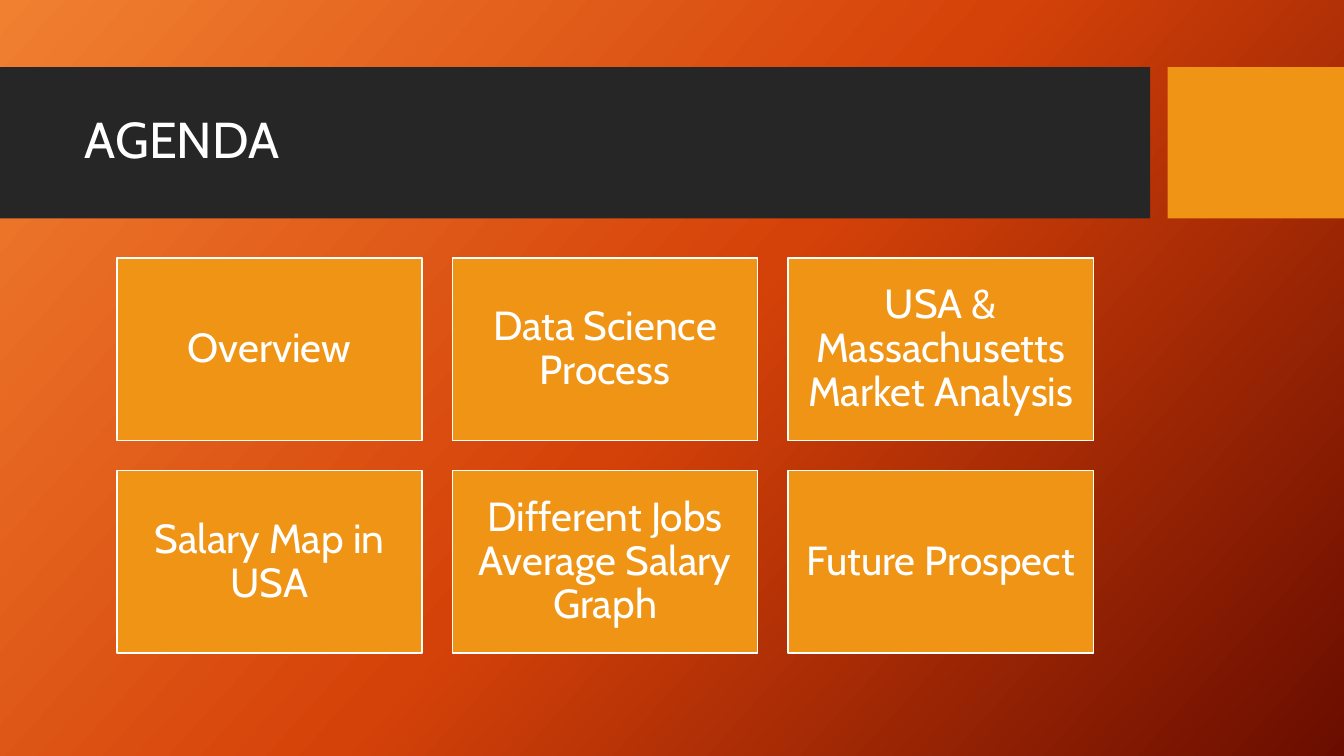
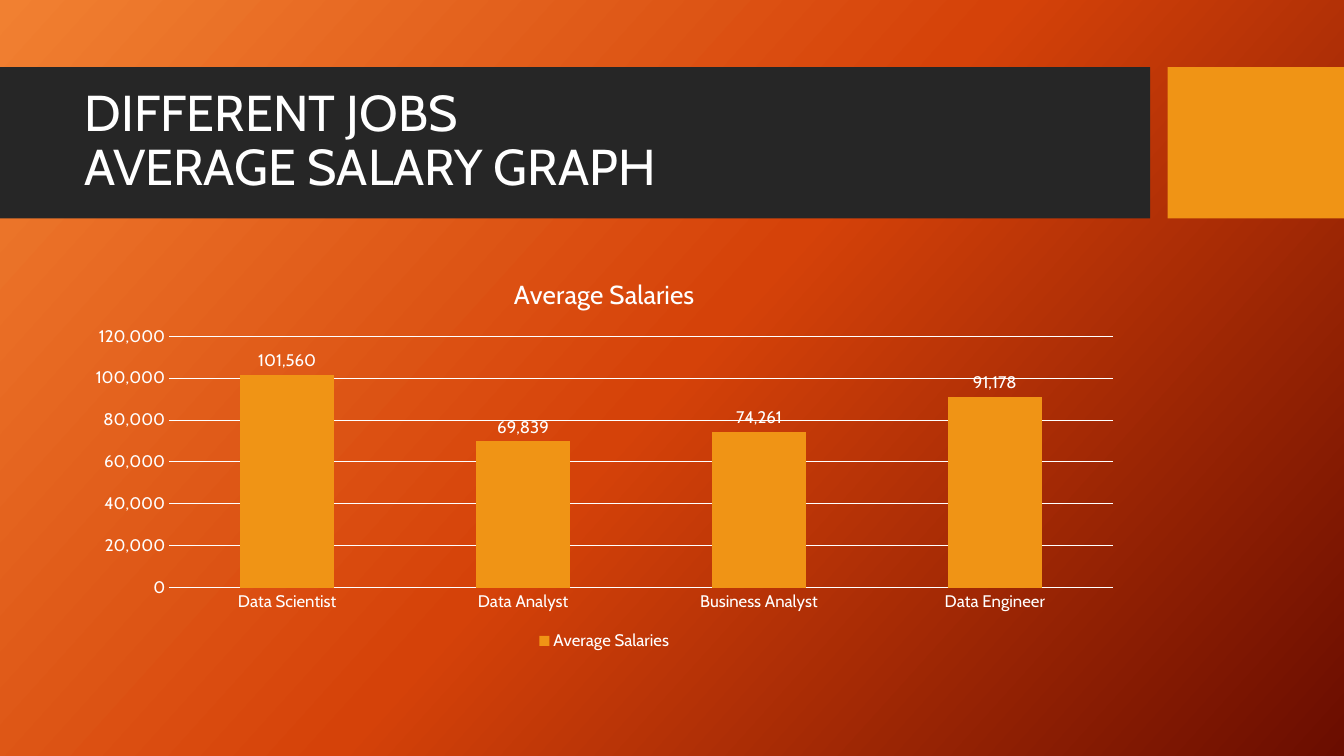
from copy import deepcopy

from pptx import Presentation
from pptx.chart.data import CategoryChartData
from pptx.dml.color import RGBColor
from pptx.enum.chart import XL_CHART_TYPE as CT, XL_LABEL_POSITION as LP
from pptx.enum.chart import XL_LEGEND_POSITION as LEG, XL_TICK_MARK as TICK
from pptx.enum.shapes import MSO_SHAPE as SHAPE
from pptx.enum.text import MSO_ANCHOR as ANCHOR, MSO_AUTO_SIZE as AUTO, PP_ALIGN as ALIGN
from pptx.oxml.ns import qn
from pptx.shapes.shapetree import GroupShapes
from pptx.util import Pt

FONT = "Cabin"
WHITE = RGBColor(0xFF, 0xFF, 0xFF)
DARK = RGBColor(0x26, 0x26, 0x26)
AMBER = RGBColor(0xF0, 0x94, 0x15)
ORANGE = RGBColor(0xF1, 0x80, 0x31)
RUST = RGBColor(0xD5, 0x42, 0x09)
MAROON = RGBColor(0x6A, 0x0D, 0x00)

TITLE_ONLY = 5
LEFT, TOP, WIDTH = 53.25, 184.25, 756.75


def set_font(font, size, color=WHITE):
    """Apply the deck typeface with a size and colour."""
    font.name, font.size, font.bold = FONT, Pt(size), False
    font.color.rgb = color


def write(tf, text, size=12, color=WHITE, align=ALIGN.LEFT, inset=None, spacing=0.9):
    """Fill a text frame with one formatted, vertically centred paragraph."""
    tf.word_wrap, tf.auto_size = True, AUTO.NONE
    tf.vertical_anchor = ANCHOR.MIDDLE
    if inset is not None:
        tf.margin_left = tf.margin_right = tf.margin_top = tf.margin_bottom = Pt(inset)
    p = tf.paragraphs[0]
    p.text, p.alignment, p.line_spacing = text, align, spacing
    for r in p.runs:
        set_font(r.font, size, color)
    for br in p._p.findall(qn("a:br")):
        br.insert(0, deepcopy(p.runs[0]._r.rPr))


class Deck:
    """Hold the shared style and the current slide."""

    def __init__(self):
        """Set up the slide size, gradient background and layout bands."""
        self.prs = Presentation()
        self.prs.slide_width, self.prs.slide_height = Pt(960), Pt(540)
        self.layout = self.prs.slide_layouts[TITLE_ONLY]
        self.s = None
        self.background(ORANGE, RUST, MAROON)
        shapes = GroupShapes(self.layout.shapes._spTree, self.layout)
        self.box(shapes, 0, 48, 821.5, 108, DARK)
        self.box(shapes, 834, 48, 126, 108, AMBER)

    def background(self, *colors):
        """Give the master an evenly spaced diagonal gradient."""
        master = self.prs.slide_master
        fill = master.background.fill
        fill.gradient()
        fill.gradient_angle = 360 - 42
        stops = next(master._element.iter(qn("a:gsLst")))
        stops.append(deepcopy(stops[-1]))
        for i, (stop, color) in enumerate(zip(fill.gradient_stops, colors)):
            stop.position = i / (len(colors) - 1)
            stop.color.rgb = color

    def box(self, shapes, x, y, w, h, fill, line=None):
        """Add a flat rectangle to a shape collection."""
        sp = shapes.add_shape(SHAPE.RECTANGLE, Pt(x), Pt(y), Pt(w), Pt(h))
        sp.shadow.inherit = False
        sp.fill.solid()
        sp.fill.fore_color.rgb = fill
        if line is None:
            sp.line.fill.background()
        else:
            sp.line.color.rgb, sp.line.width = line, Pt(1)
        return sp

    def slide(self, title):
        """Start a slide and set its title."""
        self.s = self.prs.slides.add_slide(self.layout)
        sp = self.s.shapes.title
        sp.left, sp.top, sp.width, sp.height = Pt(LEFT), Pt(59), Pt(WIDTH), Pt(85)
        write(sp.text_frame, title, size=36)

    def tiles(self, labels, cols=3, x=83.5, y=TOP, w=218, h=130.25, gap=21.75):
        """Lay out labelled tiles in a grid."""
        for i, label in enumerate(labels):
            row, col = divmod(i, cols)
            sp = self.box(self.s.shapes, x + col * (w + gap), y + row * (h + gap),
                          w, h, AMBER, line=WHITE)
            write(sp.text_frame, label, size=29, align=ALIGN.CENTER, inset=8.7)

    def columns(self, name, values):
        """Add a column chart of one named series."""
        data = CategoryChartData(number_format="#,##0")
        data.categories = list(values)
        data.add_series(name, list(values.values()))
        chart = self.s.shapes.add_chart(CT.COLUMN_CLUSTERED, Pt(LEFT), Pt(TOP),
                                        Pt(WIDTH), Pt(283.5), data).chart
        set_font(chart.font, 10)
        chart.has_title = True
        chart.chart_title.include_in_layout = False
        p = chart.chart_title.text_frame.paragraphs[0]
        p.text = name
        set_font(p.runs[0].font, 18.6)
        chart.has_legend = True
        chart.legend.position = LEG.BOTTOM
        chart.legend.include_in_layout = False
        set_font(chart.legend.font, 12)
        for axis in (chart.category_axis, chart.value_axis):
            axis.major_tick_mark = axis.minor_tick_mark = TICK.NONE
            axis.format.line.fill.background()
            set_font(axis.tick_labels.font, 12)
        grid = chart.value_axis.major_gridlines.format.line
        grid.color.rgb, grid.width = WHITE, Pt(0.75)
        labels = chart.value_axis.tick_labels
        labels.number_format, labels.number_format_is_linked = "#,##0", False
        plot = chart.plots[0]
        plot.gap_width, plot.vary_by_categories = 150, False
        fill = plot.series[0].format.fill
        fill.solid()
        fill.fore_color.rgb = AMBER
        plot.has_data_labels = True
        labels = plot.data_labels
        labels.show_value, labels.position = True, LP.OUTSIDE_END
        labels.number_format, labels.number_format_is_linked = "#,##0", False
        set_font(labels.font, 12)


def main():
    """Build and save the deck."""
    deck = Deck()
    deck.slide("AGENDA")
    deck.tiles(["Overview", "Data Science Process",
                "USA & Massachusetts Market Analysis", "Salary Map in USA",
                "Different Jobs Average Salary Graph", "Future Prospect"])
    deck.slide("DIFFERENT JOBS\nAVERAGE SALARY GRAPH")
    deck.columns("Average Salaries", {"Data Scientist": 101560, "Data Analyst": 69839,
                                      "Business Analyst": 74261, "Data Engineer": 91178})
    deck.prs.save("out.pptx")


if __name__ == "__main__":
    main()
